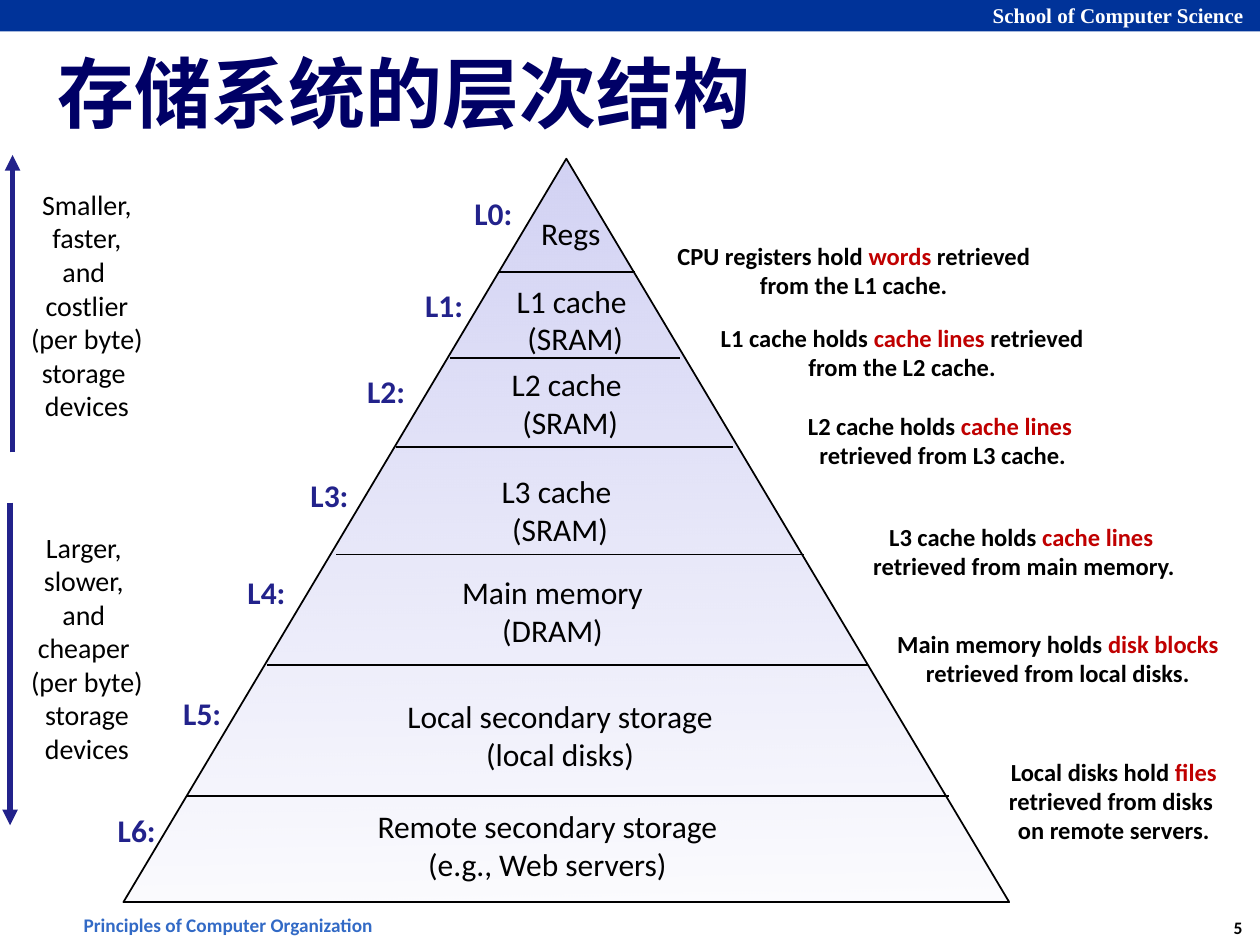
from lxml.etree import SubElement
from pptx import Presentation
from pptx.dml.color import RGBColor
from pptx.enum.shapes import MSO_CONNECTOR, MSO_SHAPE
from pptx.enum.text import MSO_ANCHOR, MSO_AUTO_SIZE, PP_ALIGN
from pptx.oxml.ns import qn
from pptx.util import Emu, Pt

PX = 9144
BLACK = RGBColor(0x00, 0x00, 0x00)
WHITE = RGBColor(0xFF, 0xFF, 0xFF)
BAND = RGBColor(0x00, 0x33, 0x99)
TITLE = RGBColor(0x00, 0x00, 0x66)
FOOTER = RGBColor(0x32, 0x6A, 0xC6)
INDIGO = RGBColor(0x22, 0x22, 0x8B)
LAVENDER = RGBColor(0xD2, 0xD2, 0xF4)
RED = RGBColor(0xC0, 0x00, 0x00)

LEVELS = [
    ("Regs", (419, 165, 68, 40), (366, 149)),
    ("L1 cache \n(SRAM)", (399, 218, 115, 71), (327, 222)),
    ("L2 cache \n(SRAM)", (395, 284, 115, 71), (281, 290)),
    ("L3 cache \n(SRAM)", (387, 369, 115, 71), (236, 373)),
    ("Main memory\n(DRAM)", (356, 449, 165, 71), (186, 450)),
    ("Local secondary storage\n(local disks)", (311, 548, 267, 71), (135, 546)),
    ("Remote secondary storage\n(e.g., Web servers)", (287, 635, 295, 71), (83, 639)),
]
DIVIDERS = [
    (396, 504, 216), (357, 540, 284), (314, 582, 355),
    (267, 638, 440), (212, 689, 528), (148, 753, 632),
]
NOTES = [
    ("CPU registers hold *words *retrieved from the L1 cache.", (518, 186, 319, 57)),
    ("L1 cache holds *cache lines *retrieved from the L2 cache.", (561, 251, 310, 57)),
    ("L2 cache holds *cache lines*\n retrieved from L3 cache.", (602, 321, 288, 57)),
    ("L3 cache holds *cache lines*\n retrieved from main memory.", (653, 409, 315, 57)),
    ("Main memory holds *disk blocks *retrieved from local disks.", (700, 494, 279, 57)),
    ("Local disks hold *files *retrieved from disks \non remote servers.", (771, 595, 226, 81)),
]
TRENDS = [
    ("Smaller,\nfaster,\nand \ncostlier\n(per byte)\nstorage \ndevices",
     (14, 143, 110, 198), (10, 359, 10, 123)),
    ("Larger, \nslower, \nand \ncheaper \n(per byte)\nstorage\ndevices",
     (14, 415, 110, 198), (8, 399, 8, 655)),
]


def px(*values):
    return [Emu(v * PX) for v in values]


def add_text(s, text, box, size, color=BLACK, bold=False, wrap=False, font="Calibri",
             align=PP_ALIGN.CENTER, anchor=MSO_ANCHOR.MIDDLE, grow=True):
    tf = s.shapes.add_textbox(*px(*box)).text_frame
    tf.word_wrap = wrap
    tf.auto_size = MSO_AUTO_SIZE.SHAPE_TO_FIT_TEXT if grow else MSO_AUTO_SIZE.NONE
    tf.vertical_anchor = anchor
    for i, line in enumerate(text.split("\n")):
        p = tf.add_paragraph() if i else tf.paragraphs[0]
        p.alignment = align
        for j, part in enumerate(line.split("*")):
            if part:
                r = p.add_run()
                r.text = part
                r.font.name = font
                r.font.size = Pt(size)
                r.font.bold = bold
                r.font.color.rgb = RED if j % 2 else color
    return tf


def add_line(s, ends, color=BLACK, width=1, arrow=False):
    line = s.shapes.add_connector(MSO_CONNECTOR.STRAIGHT, *px(*ends))
    line.line.color.rgb = color
    line.line.width = Pt(width)
    if arrow:
        SubElement(line.line._get_or_add_ln(), qn("a:tailEnd"), type="triangle")
    SubElement(line._element.spPr, qn("a:effectLst"))


def add_frame(s):
    band = s.shapes.add_shape(MSO_SHAPE.RECTANGLE, *px(0, 0, 1000, 25))
    band.shadow.inherit = False
    band.fill.solid()
    band.fill.fore_color.rgb = BAND
    band.line.fill.background()
    top = MSO_ANCHOR.TOP
    add_text(s, "School of Computer Science", (778, -3, 221, 30), 12, WHITE, True,
             font="Times New Roman", align=PP_ALIGN.LEFT, anchor=top)
    add_text(s, "Principles of Computer Organization ", (55, 720, 256, 29), 11, FOOTER, True, anchor=top)
    add_text(s, "5", (964, 723, 37, 27), 10, BLACK, True, anchor=top)
    tf = add_text(s, "存储系统的层次结构", (42, 28, 917, 89), 44, TITLE, True, True,
                  "Times New Roman", PP_ALIGN.LEFT, grow=False)
    tf.margin_left = tf.margin_right = tf.margin_top = tf.margin_bottom = Emu(4 * PX)


def add_pyramid(s):
    sp = s.shapes.add_shape(MSO_SHAPE.ISOSCELES_TRIANGLE, *px(98, 126, 703, 590))
    sp.shadow.inherit = False
    sp.fill.gradient()
    sp.fill.gradient_angle = 91
    for stop, position in zip(sp.fill.gradient_stops, (0, 1)):
        stop.color.rgb = LAVENDER
        stop.position = position
    base = sp._element.spPr.find(".//" + qn("a:srgbClr"))
    SubElement(base, qn("a:alpha"), val="7000")
    sp.line.color.rgb = BLACK
    sp.line.width = Pt(1)
    for x1, x2, y in DIVIDERS:
        add_line(s, (x1, y, x2, y))
    for i, (name, box, label) in enumerate(LEVELS):
        add_text(s, name, box, 18)
        add_text(s, f"L{i}:", (*label, 51, 40), 18, INDIGO, True)


def main():
    prs = Presentation()
    prs.slide_width, prs.slide_height = px(1000, 750)
    s = prs.slides.add_slide(prs.slide_layouts[6])
    add_frame(s)
    add_pyramid(s)
    for text, box in NOTES:
        add_text(s, text, box, 14, bold=True, wrap=True)
    for text, box, ends in TRENDS:
        add_text(s, text, box, 16)
        add_line(s, ends, INDIGO, 3, True)
    prs.save("out.pptx")


if __name__ == "__main__":
    main()
